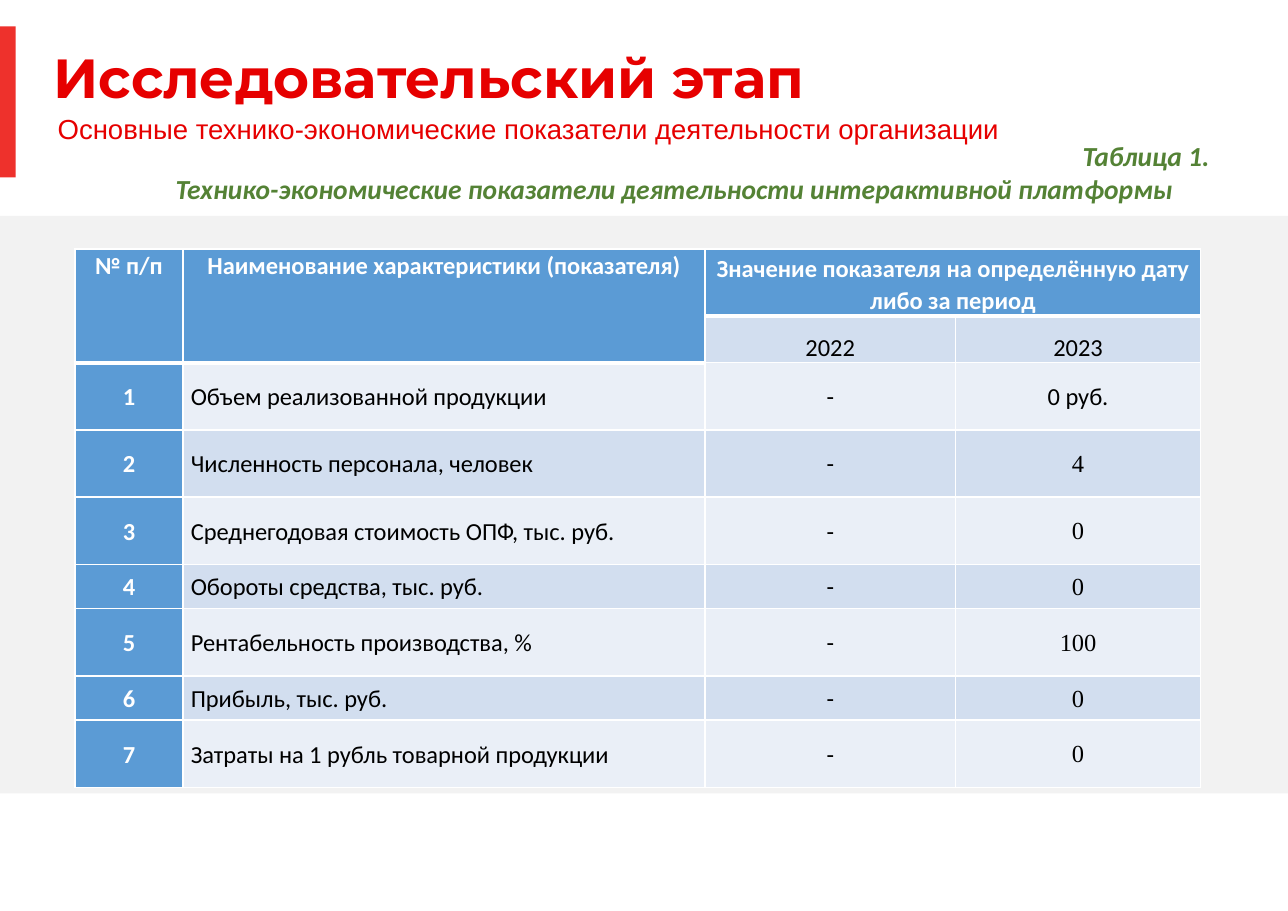
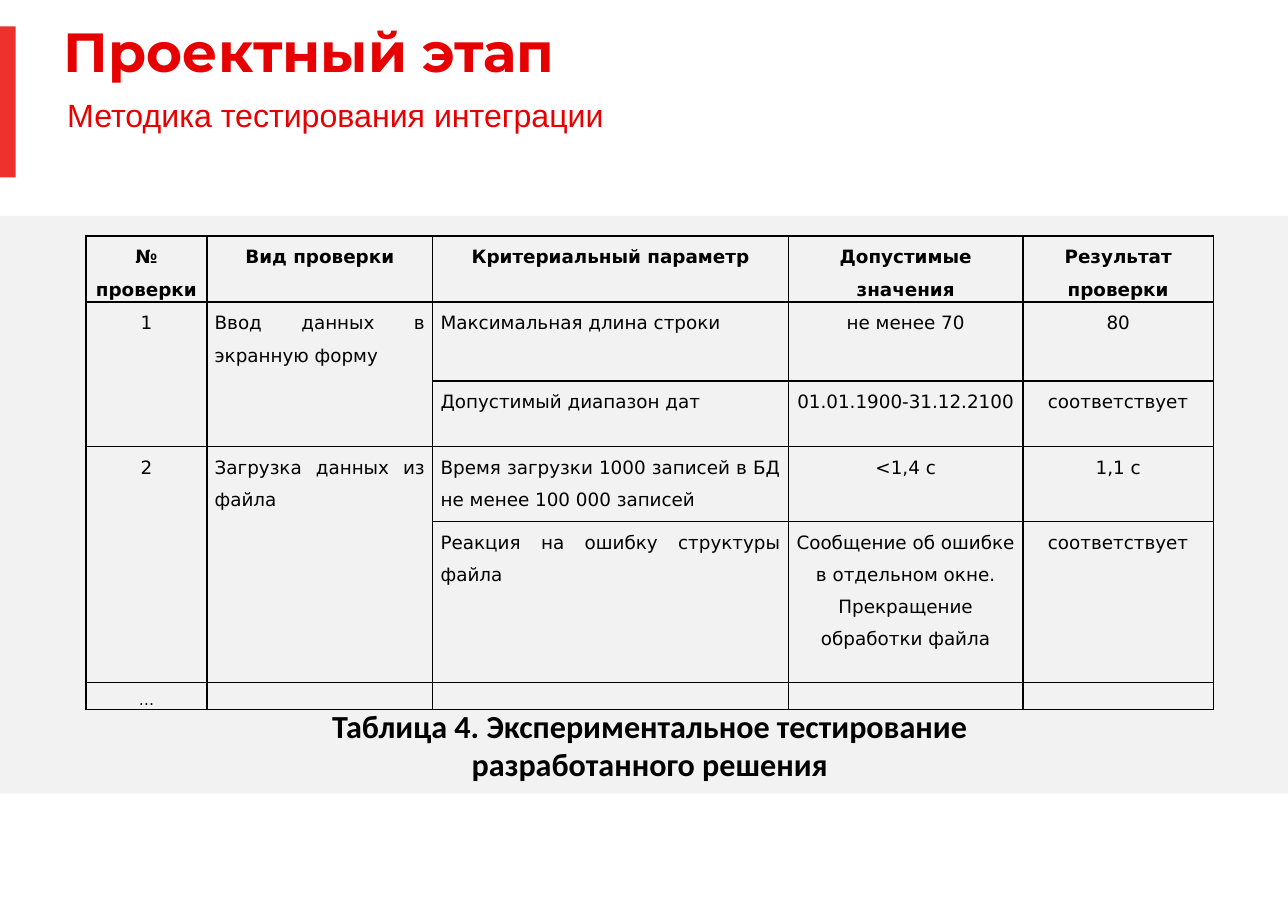
"""Builds two report slides, each with a header, a grey band and a table."""
from lxml import etree
from pptx import Presentation
from pptx.dml.color import RGBColor
from pptx.enum import shapes, text
from pptx.oxml import ns
from pptx.util import Cm, Pt

RED = RGBColor(0xE6, 0x00, 0x00)
BAR_RED = RGBColor(0xEE, 0x31, 0x2C)
BAND_GREY = RGBColor(0xF2, 0xF2, 0xF2)
GREEN = RGBColor(0x54, 0x82, 0x35)
BLUE = RGBColor(0x5B, 0x9B, 0xD5)
PALE_BLUE = RGBColor(0xD2, 0xDE, 0xEF)
LIGHT_BLUE = RGBColor(0xEA, 0xEF, 0xF7)
BLACK = RGBColor(0, 0, 0)
WHITE = RGBColor(255, 255, 255)

LEFT, CENTER = text.PP_ALIGN.LEFT, text.PP_ALIGN.CENTER
RIGHT, JUSTIFY = text.PP_ALIGN.RIGHT, text.PP_ALIGN.JUSTIFY
TOP, MIDDLE, BOTTOM = text.MSO_ANCHOR.TOP, text.MSO_ANCHOR.MIDDLE, text.MSO_ANCHOR.BOTTOM

INDICATORS = [
    ("№ п/п", "Наименование характеристики (показателя)",
     "Значение показателя на определённую дату либо за период", None),
    (None, None, "2022", "2023"),
    ("1", "Объем реализованной продукции", "-", "0 руб."),
    ("2", "Численность персонала, человек", "-", "4"),
    ("3", "Среднегодовая стоимость ОПФ, тыс. руб.", "-", "0"),
    ("4", "Обороты средства, тыс. руб.", "-", "0"),
    ("5", "Рентабельность производства, %", "-", "100"),
    ("6", "Прибыль, тыс. руб.", "-", "0"),
    ("7", "Затраты на 1 рубль товарной продукции", "-", "0"),
]
INDICATOR_WIDTHS = (2.49, 12.04, 5.77, 5.66)
INDICATOR_HEIGHTS = (1.55, 1.07, 1.55, 1.55, 1.55, 1.02, 1.55, 1.02, 1.55)
INDICATOR_MERGES = [(0, 0, 1, 0), (0, 1, 1, 1), (0, 2, 0, 3)]

CHECKS = [
    ("№ проверки", "Вид проверки", "Критериальный параметр",
     "Допустимые значения", "Результат проверки"),
    ("1", "Ввод данных в экранную форму", "Максимальная длина строки", "не менее 70", "80"),
    (None, None, "Допустимый диапазон дат", "01.01.1900-31.12.2100", "соответствует"),
    ("2", "Загрузка данных из файла",
     "Время загрузки 1000 записей в БД не менее 100 000 записей", "<1,4 с", "1,1 с"),
    (None, None, "Реакция на ошибку структуры файла",
     "Сообщение об ошибке в отдельном окне.\nПрекращение обработки файла", "соответствует"),
    ("…", "", "", "", ""),
]
CHECK_WIDTHS = (2.79, 5.21, 8.2, 5.41, 4.39)
CHECK_HEIGHTS = (1.52, 1.82, 1.5, 1.73, 3.71, 0.62)
CHECK_MERGES = [(1, 0, 2, 0), (1, 1, 2, 1), (3, 0, 4, 0), (3, 1, 4, 1)]


def write(frame, content, *, size, font="Calibri", color=BLACK, bold=False, italic=False,
          aligns=(LEFT,), spacing=1.0, anchor=TOP):
    """Writes one paragraph per line; the last alignment serves the remaining lines."""
    frame.word_wrap = True
    frame.vertical_anchor = anchor
    for index, line in enumerate(content.split("\n")):
        para = frame.add_paragraph() if index else frame.paragraphs[0]
        para.alignment = aligns[min(index, len(aligns) - 1)]
        para.line_spacing = spacing
        if not line:
            etree.SubElement(para._p, ns.qn("a:endParaRPr"), sz=str(size * 100))
            continue
        span = para.add_run()
        span.text = line
        span.font.size, span.font.name = Pt(size), font
        span.font.bold, span.font.italic = bold, italic
        span.font.color.rgb = color


def add_text(page, place, content, margin=0.0, **style):
    """Adds a text box at a place in centimetres and returns its frame."""
    frame = page.shapes.add_textbox(*map(Cm, place)).text_frame
    frame.margin_left = frame.margin_right = Cm(margin)
    frame.margin_top = frame.margin_bottom = Cm(margin / 2)
    write(frame, content, **style)
    return frame


def add_page(deck, title, title_place, subtitle, subtitle_place, subtitle_size):
    """Adds a page with the shared band, side bar and headings."""
    page = deck.slides.add_slide(deck.slide_layouts[6])
    for place, color in (((0, 4.98, 29.7, 13.31), BAND_GREY), ((0, 0.61, 0.36, 3.48), BAR_RED)):
        block = page.shapes.add_shape(shapes.MSO_SHAPE.RECTANGLE, *map(Cm, place))
        block.shadow.inherit = False
        block.fill.solid()
        block.fill.fore_color.rgb = color
        block.line.fill.background()
    add_text(page, (*title_place, 26.9, 1.4), title, size=36, font="Montserrat",
             color=RED, bold=True, spacing=0.9, anchor=MIDDLE)
    add_text(page, (*subtitle_place, 26.5, 1.2), subtitle, size=subtitle_size, font="Arial",
             color=RED, spacing=0.9, anchor=BOTTOM)
    return page


def add_border(cell, side, width, color):
    """Draws one side of a cell."""
    line = etree.SubElement(cell._tc.get_or_add_tcPr(), ns.qn(f"a:ln{side}"), w=str(Pt(width)))
    fill = etree.SubElement(line, ns.qn("a:solidFill"))
    etree.SubElement(fill, ns.qn("a:srgbClr"), val=str(color))


def add_grid(page, left, top, rows, widths, heights, merges, border, edge_width, cell_style):
    """Adds a table whose looks come from the edge and cell rules."""
    table = page.shapes.add_table(len(rows), len(widths), Cm(left), Cm(top),
                                  Cm(sum(widths)), Cm(sum(heights))).table
    table.first_row = table.horz_banding = False
    for column, width in zip(table.columns, widths):
        column.width = Cm(width)
    for line, height in zip(table.rows, heights):
        line.height = Cm(height)
    for row, col, last_row, last_col in merges:
        table.cell(row, col).merge(table.cell(last_row, last_col))
    for row, values in enumerate(rows):
        for col, value in enumerate(values):
            cell = table.cell(row, col)
            cell.margin_left = cell.margin_right = Cm(0.18)
            cell.margin_top = cell.margin_bottom = 0
            bottom = row + (cell.span_height if cell.is_merge_origin else 1)
            for side, width in (("L", 1), ("R", 1), ("T", edge_width(row, col)),
                                ("B", edge_width(bottom, col))):
                add_border(cell, side, width, border)
            fill, style = cell_style(row, col, value or "")
            if fill is None:
                cell.fill.background()
            else:
                cell.fill.solid()
                cell.fill.fore_color.rgb = fill
            if value is not None:
                anchor = style.pop("anchor")
                write(cell.text_frame, value, **style)
                cell.text_frame._txBody.bodyPr.attrib.clear()
                cell.vertical_anchor = anchor


def indicator_edge(edge, col):
    """Thickens the line under the heading cells."""
    return 3 if edge == (2 if col < 2 else 1) else 1


def indicator_style(row, col, value):
    """Gives the fill and text format of an indicator cell."""
    heading = row == 0 or col == 0
    fill = BLUE if heading or (row == 1 and col < 2) else (PALE_BLUE if row % 2 else LIGHT_BLUE)
    serif = row > 1 and col == 3 and value.isdigit()
    anchor = MIDDLE if row > 1 else (BOTTOM if col > 1 else TOP)
    return fill, dict(size=16, font="Times New Roman" if serif else "Calibri",
                      color=WHITE if heading else BLACK, bold=heading, spacing=1.07,
                      aligns=(JUSTIFY if row > 1 and col == 1 else CENTER,), anchor=anchor)


def check_style(row, col, value):
    """Gives the text format of a check cell, which has no fill."""
    return None, dict(size=10 if row == len(CHECKS) - 1 else 12, font="DejaVu Sans",
                      bold=row == 0, spacing=1.5, anchor=TOP,
                      aligns=(JUSTIFY if row and col in (1, 2) else CENTER,))


def main():
    """Builds and saves the deck."""
    deck = Presentation()
    deck.slide_width, deck.slide_height = Cm(29.7), Cm(21)

    page = add_page(deck, "Исследовательский этап", (1.24, 1.17),
                    "Основные технико-экономические показатели деятельности организации",
                    (1.33, 2.15), 18)
    add_grid(page, 1.73, 5.74, INDICATORS, INDICATOR_WIDTHS, INDICATOR_HEIGHTS,
             INDICATOR_MERGES, WHITE, indicator_edge, indicator_style)
    caption = add_text(page, (2.16, 3.07, 25.98, 1.8),
                       "Таблица 1.\nТехнико-экономические показатели деятельности "
                       "интерактивной платформы",
                       margin=0.25, size=18, color=GREEN, bold=True, italic=True,
                       aligns=(RIGHT, LEFT))
    caption.paragraphs[1]._p.get_or_add_pPr().set("indent", str(Cm(1.64)))

    page = add_page(deck, "Проектный этап", (1.47, 0.57),
                    "Методика тестирования интеграции", (1.55, 1.9), 21)
    add_grid(page, 1.98, 5.44, CHECKS, CHECK_WIDTHS, CHECK_HEIGHTS, CHECK_MERGES,
             BLACK, lambda edge, col: 1, check_style)
    add_text(page, (3.48, 16.15, 23.01, 2.06),
             "Таблица 4. Экспериментальное тестирование\nразработанного решения",
             margin=0.25, size=21, bold=True, aligns=(CENTER,))
    deck.save("out.pptx")


if __name__ == "__main__":
    main()
